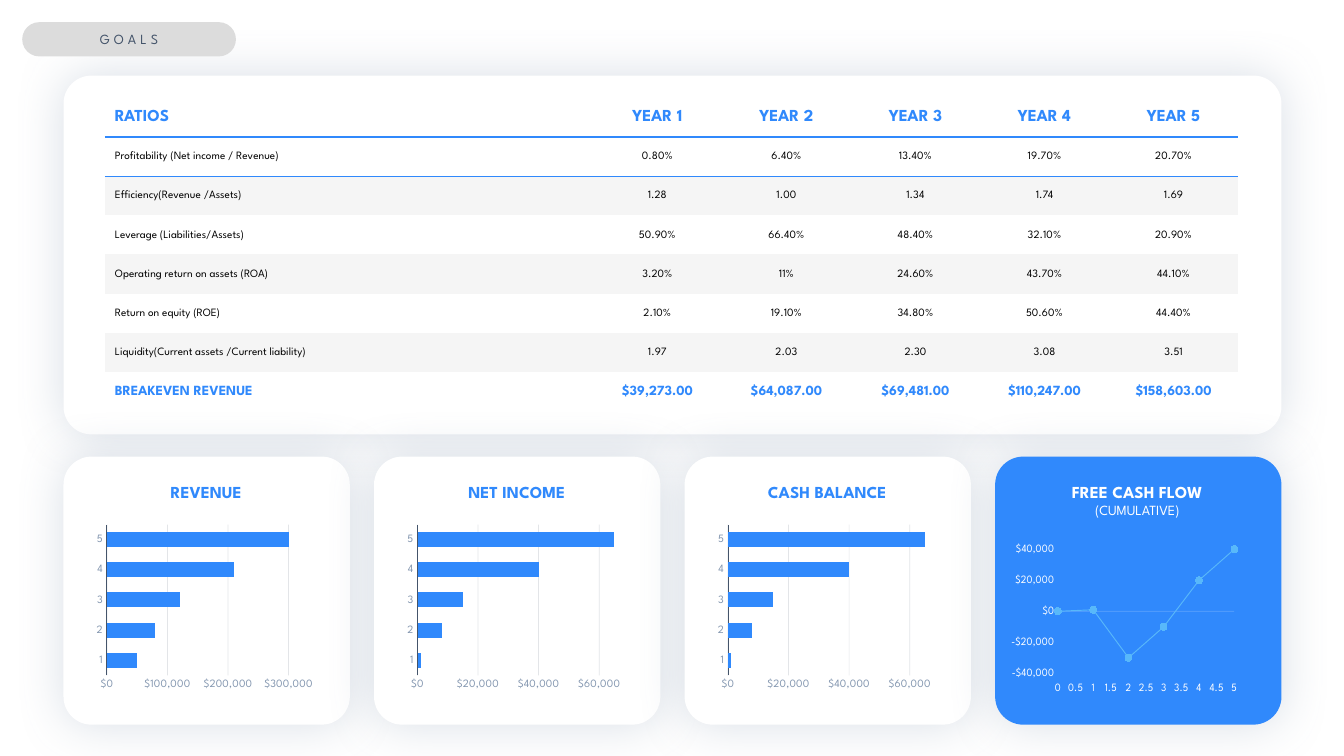
from lxml import etree
from pptx import Presentation
from pptx.chart.data import CategoryChartData, XyChartData
from pptx.dml.color import RGBColor
from pptx.enum.chart import (XL_CHART_TYPE as CT, XL_MARKER_STYLE as MARKER,
                             XL_TICK_LABEL_POSITION as LABELS, XL_TICK_MARK as TICK)
from pptx.enum.shapes import MSO_SHAPE as SHAPE
from pptx.enum.text import MSO_ANCHOR as ANCHOR, MSO_AUTO_SIZE as AUTO, PP_ALIGN as ALIGN
from pptx.oxml import parse_xml
from pptx.oxml.ns import nsdecls, qn
from pptx.util import Inches, Pt

FONT = "League Spartan"
BLUE = RGBColor(0x30, 0x89, 0xFC)
SKY = RGBColor(0x58, 0xB8, 0xFA)
WHITE = RGBColor(0xFF, 0xFF, 0xFF)
BLACK = RGBColor(0, 0, 0)
MIST = RGBColor(0x84, 0x97, 0xB0)
SLATE = RGBColor(0x44, 0x54, 0x6A)
BAND = RGBColor(0xF5, 0xF5, 0xF5)
PILL = RGBColor(0xDC, 0xDC, 0xDC)
NO_STYLE = "{2D5ABB26-0587-4C30-8999-92F81FD0307C}"

RATIOS = [
    ("RATIOS", "YEAR 1", "YEAR 2", "YEAR 3", "YEAR 4", "YEAR 5"),
    ("Profitability (Net income / Revenue)", "0.80%", "6.40%", "13.40%", "19.70%", "20.70%"),
    ("Efficiency(Revenue /Assets)", "1.28", "1.00", "1.34", "1.74", "1.69"),
    ("Leverage (Liabilities/Assets)", "50.90%", "66.40%", "48.40%", "32.10%", "20.90%"),
    ("Operating return on assets (ROA)", "3.20%", "11%", "24.60%", "43.70%", "44.10%"),
    ("Return on equity (ROE)", "2.10%", "19.10%", "34.80%", "50.60%", "44.40%"),
    ("Liquidity(Current assets /Current liability)", "1.97", "2.03", "2.30", "3.08", "3.51"),
    ("BREAKEVEN REVENUE", "$39,273.00", "$64,087.00", "$69,481.00", "$110,247.00", "$158,603.00"),
]
# title, values for years 1 to 5, axis maximum, axis step
BARS = [
    ("REVENUE", (50000, 80000, 120000, 210000, 300000), 350000, 100000),
    ("NET INCOME", (1000, 8000, 15000, 40000, 65000), 70000, 20000),
    ("CASH BALANCE", (1000, 8000, 15000, 40000, 65000), 70000, 20000),
]
CASH_FLOW = (0, 1000, -30000, -10000, 20000, 40000)


def style_font(font, size, color, bold=False):
    font.name, font.size, font.bold = FONT, Pt(size), bold
    font.color.rgb = color


def add_run(p, text, size, color, bold=False, align=ALIGN.CENTER):
    p.alignment = align
    r = p.add_run()
    r.text = text
    style_font(r.font, size, color, bold)
    return r


def add_round_box(slide, x, y, w, h, radius, color):
    sp = slide.shapes.add_shape(SHAPE.ROUNDED_RECTANGLE, Inches(x), Inches(y), Inches(w), Inches(h))
    sp.adjustments[0] = radius
    sp.fill.solid()
    sp.fill.fore_color.rgb = color
    sp.line.fill.background()
    sp.shadow.inherit = False
    return sp


def add_card(slide, x, y, w, h, radius, color=WHITE):
    """Rounded box with a soft glow-like shadow."""
    sp = add_round_box(slide, x, y, w, h, radius, color)
    effects = sp.element.spPr.find(qn("a:effectLst"))
    effects.append(parse_xml(
        f'<a:outerShdw {nsdecls("a")} blurRad="{Pt(35)}" dist="0" dir="5400000" algn="t" rotWithShape="0">'
        f'<a:srgbClr val="{MIST}"><a:alpha val="30000"/></a:srgbClr></a:outerShdw>'))


def add_title(slide, x, y, w, h, lines):
    sp = slide.shapes.add_textbox(Inches(x), Inches(y), Inches(w), Inches(h))
    tf = sp.text_frame
    tf.word_wrap = True
    tf.auto_size = AUTO.SHAPE_TO_FIT_TEXT
    for i, (text, size, color, bold) in enumerate(lines):
        p = tf.add_paragraph() if i else tf.paragraphs[0]
        add_run(p, text, size, color, bold)


def faint_line(line, color, width):
    line.color.rgb = color
    line.width = Pt(width)
    for clr in line.fill._xPr.iter(qn("a:srgbClr")):
        etree.SubElement(clr, qn("a:alpha"), val="15000")


def set_plot_layout(chart, **layout):
    plot_area = next(chart.element.iter(qn("c:plotArea")))
    for old in plot_area.findall(qn("c:layout")):
        plot_area.remove(old)
    parts = {"layoutTarget": "inner", "xMode": "edge", "yMode": "edge", **layout}
    inner = "".join(f'<c:{k} val="{v}"/>' for k, v in parts.items())
    plot_area.insert(0, parse_xml(
        f'<c:layout {nsdecls("c")}><c:manualLayout>{inner}</c:manualLayout></c:layout>'))


def add_chart(slide, kind, x, y, w, h, data, color, low, high, step, plot_w):
    """Chart with the shared text, tick and money-axis settings."""
    chart = slide.shapes.add_chart(kind, Inches(x), Inches(y), Inches(w), Inches(h), data).chart
    chart.has_legend = chart.has_title = False
    style_font(chart.font, 8, color)
    for axis in (chart.category_axis, chart.value_axis):
        axis.major_tick_mark = axis.minor_tick_mark = TICK.NONE
        axis.has_major_gridlines = False
        style_font(axis.tick_labels.font, 8, color)
    money = chart.value_axis
    money.minimum_scale, money.maximum_scale, money.major_unit = low, high, step
    money.tick_labels.number_format = '"$"#,##0'
    money.tick_labels.number_format_is_linked = False
    money.format.line.fill.background()
    set_plot_layout(chart, x=0.111, y=0.056, w=plot_w, h=0.8)
    return chart


def add_bar_card(slide, x, y, w, h, title, values, high, step):
    add_card(slide, x, y, w, h, 0.105)
    data = CategoryChartData()
    data.categories = [str(year) for year in range(1, 6)]
    data.add_series("Series 1", values)
    chart = add_chart(slide, CT.BAR_CLUSTERED, x + 0.13, y + 0.57, w - 0.13, 1.87,
                      data, MIST, 0, high, step, 0.776)
    axis_line = chart.category_axis.format.line
    axis_line.color.rgb, axis_line.width = SLATE, Pt(0.75)
    chart.value_axis.has_major_gridlines = True
    faint_line(chart.value_axis.major_gridlines.format.line, SLATE, 0.5)
    plot = chart.plots[0]
    plot.gap_width, plot.vary_by_categories = 100, False
    fill = plot.series[0].format.fill
    fill.solid()
    fill.fore_color.rgb = BLUE
    add_title(slide, x + 0.41, y + 0.2, 2.01, 0.3, [(title, 12, BLUE, True)])


def color_marker(marker, color):
    marker.style, marker.size = MARKER.CIRCLE, 5
    marker.format.fill.solid()
    marker.format.fill.fore_color.rgb = color
    marker.format.line.color.rgb = color


def add_cash_flow_card(slide, x, y, w, h):
    add_card(slide, x, y, w, h, 0.105, BLUE)
    add_title(slide, x + 0.23, y + 0.2, 2.36, 0.47,
              [("FREE CASH FLOW", 12, WHITE, True), ("(CUMULATIVE)", 10, WHITE, False)])
    data = XyChartData()
    points = data.add_series("Series 1")
    for year, value in enumerate(CASH_FLOW):
        points.add_data_point(year, value)
    chart = add_chart(slide, CT.XY_SCATTER_SMOOTH, x + 0.16, y + 0.67, 2.55, 1.73,
                      data, WHITE, -40000, 50000, 20000, 0.745)
    years = chart.category_axis
    years.minimum_scale, years.maximum_scale = 0, 5
    years.tick_label_position = LABELS.LOW
    faint_line(years.format.line, WHITE, 0.75)
    chart.plots[0].vary_by_categories = False
    series = chart.plots[0].series[0]
    series.smooth = True
    series.format.line.color.rgb, series.format.line.width = SKY, Pt(0.75)
    color_marker(series.marker, WHITE)
    color_marker(series.points[0].marker, SKY)


def add_ratio_card(slide, x, y, w, h):
    add_card(slide, x, y, w, h, 0.078)
    frame = slide.shapes.add_table(len(RATIOS), len(RATIOS[0]), Inches(x + 0.41), Inches(y + 0.22),
                                   Inches(11.24), Inches(3.11))
    table = frame.table
    table.first_row = table.horz_banding = False
    next(frame.element.iter(qn("a:tableStyleId"))).text = NO_STYLE
    for i, col in enumerate(table.columns):
        col.width = Inches(1.28 if i else 4.84)
    text_styles = {0: (12, BLUE, True), len(RATIOS) - 1: (10, BLUE, True)}
    for i, row in enumerate(RATIOS):
        for j, text in enumerate(row):
            cell = table.cell(i, j)
            cell.vertical_anchor = ANCHOR.MIDDLE
            cell.margin_left = Inches(0.01 if j else 0.1)
            cell.margin_top = cell.margin_right = Inches(0.01)
            cell.margin_bottom = 0
            if i in (2, 4, 6):
                cell.fill.solid()
                cell.fill.fore_color.rgb = BAND
            else:
                cell.fill.background()
            # Rule between header and body
            if i < 2:
                edge = ("lnB", "lnT")[i]
                cell._tc.get_or_add_tcPr().insert(0, parse_xml(
                    f'<a:{edge} {nsdecls("a")} w="{Pt(1)}"><a:solidFill><a:srgbClr val="{BLUE}"/>'
                    f'</a:solidFill></a:{edge}>'))
            add_run(cell.text_frame.paragraphs[0], text, *text_styles.get(i, (8, BLACK, False)),
                    align=ALIGN.CENTER if j else ALIGN.LEFT)


def add_goals_label(slide, x, y, w, h):
    tf = add_round_box(slide, x, y, w, h, 0.5, PILL).text_frame
    tf.margin_left = tf.margin_right = tf.margin_top = tf.margin_bottom = 0
    tf.vertical_anchor = ANCHOR.MIDDLE
    r = add_run(tf.paragraphs[0], "GOALS", 10, SLATE)
    r.font._element.set("spc", "300")


def main():
    prs = Presentation()
    prs.slide_width, prs.slide_height = Inches(13.33), Inches(7.5)
    slide = prs.slides.add_slide(prs.slide_layouts[6])
    left, pitch, card = 0.63, 3.08, (4.53, 2.84, 2.66)
    add_ratio_card(slide, left, 0.75, 12.08, 3.56)
    for i, bar in enumerate(BARS):
        add_bar_card(slide, left + i * pitch, *card, *bar)
    add_cash_flow_card(slide, left + len(BARS) * pitch, *card)
    add_goals_label(slide, 0.22, 0.22, 2.12, 0.34)
    prs.save("out.pptx")


if __name__ == "__main__":
    main()
